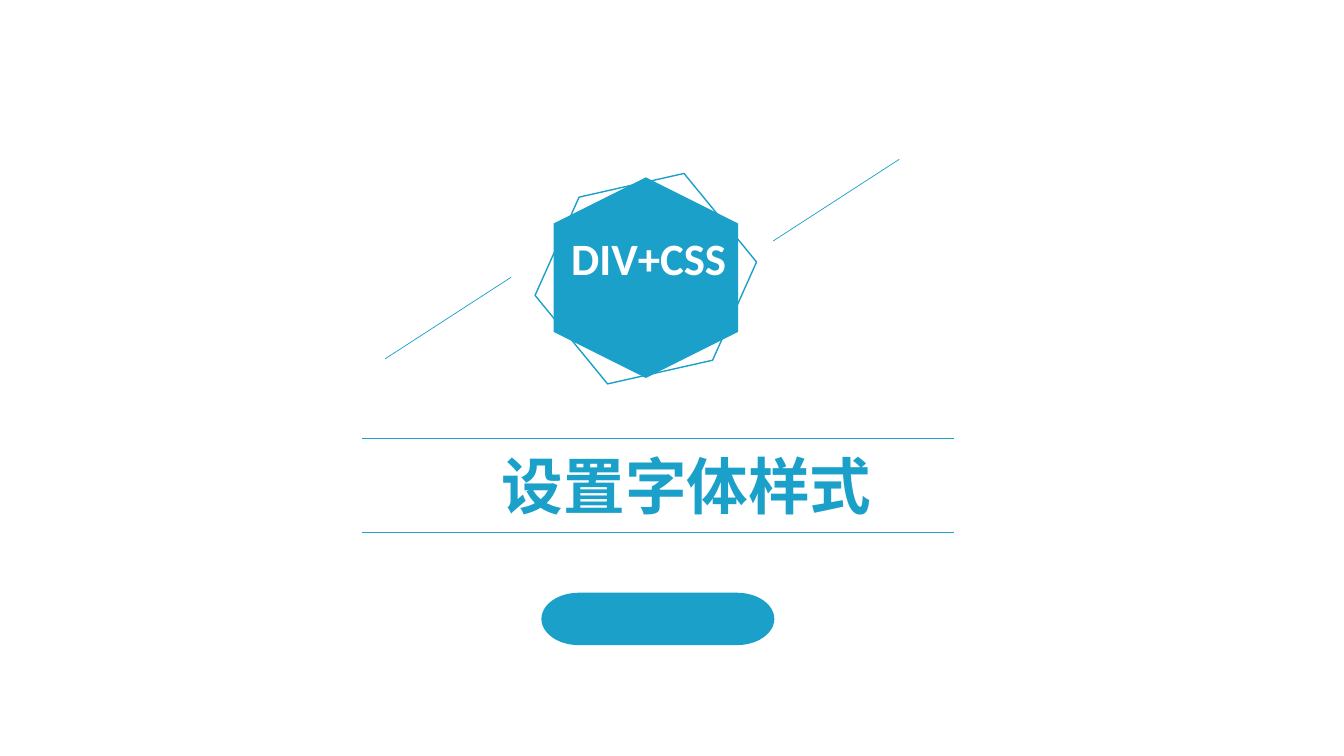
"""Build the section title slide on setting font styles."""
from pptx import Presentation
from pptx import util as u
from pptx.dml.color import RGBColor
from pptx.enum import shapes, text
from pptx.oxml.ns import qn
from lxml import etree

BLUE, WHITE = "1BA0C9", "FFFFFF"
FONT = "Calibri"
TITLE = ("设置字体样式", (4.88, 4.39, 3.87, 0.84))
BADGE = ("DIV+CSS", (5.55, 2.24, 1.77, 0.64))
RULE_LEFT, RULE_RIGHT, RULE_YS = 3.59, 9.46, (4.35, 5.28)
SLANT_STARTS, SLANT = ((8.92, 1.58), (5.07, 2.75)), (-1.25, 0.81)
BUTTON = (5.37, 5.88, 2.31, 0.52)
OUTER_HEXAGON = (5.36, 1.81, 2.09, 1.91)
INNER_HEXAGON = (5.41, 1.84, 1.99, 1.83)

prs = Presentation()
prs.slide_width, prs.slide_height = u.Inches(13.33), u.Inches(7.5)
s = prs.slides.add_slide(prs.slide_layouts[6])


def color(value):
    return RGBColor.from_string(value)


def add_line(x1, y1, x2, y2):
    line = s.shapes.add_connector(
        shapes.MSO_CONNECTOR.STRAIGHT, *map(u.Inches, (x1, y1, x2, y2)))
    line.line.color.rgb = color(BLUE)
    line.line.width = u.Pt(0.5)
    etree.SubElement(line._element.spPr, qn("a:effectLst"))


def add_shape(kind, box, rotation=0, filled=True):
    sp = s.shapes.add_shape(kind, *map(u.Inches, box))
    sp.shadow.inherit = False
    sp.rotation = rotation
    if filled:
        sp.fill.solid()
        sp.fill.fore_color.rgb = color(BLUE)
        sp.line.fill.background()
    else:
        sp.fill.background()
        sp.line.color.rgb = color(BLUE)
        sp.line.width = u.Pt(1)


def add_text(content, box, size, fill, align=text.PP_ALIGN.LEFT, wrap=True):
    tf = s.shapes.add_textbox(*map(u.Inches, box)).text_frame
    tf.word_wrap = wrap
    tf.auto_size = text.MSO_AUTO_SIZE.SHAPE_TO_FIT_TEXT
    p = tf.paragraphs[0]
    p.alignment = align
    r = p.add_run()
    r.text = content
    r.font.name, r.font.size, r.font.bold = FONT, u.Pt(size), True
    r.font.color.rgb = color(fill)


for y in RULE_YS:
    add_line(RULE_LEFT, y, RULE_RIGHT, y)
add_text(*TITLE, size=44, fill=BLUE, wrap=False)
add_shape(shapes.MSO_SHAPE.FLOWCHART_TERMINATOR, BUTTON)
add_shape(shapes.MSO_SHAPE.HEXAGON, OUTER_HEXAGON, rotation=50.7, filled=False)
add_shape(shapes.MSO_SHAPE.HEXAGON, INNER_HEXAGON, rotation=90)
add_text(*BADGE, size=32, fill=WHITE, align=text.PP_ALIGN.CENTER)
for x, y in SLANT_STARTS:
    add_line(x, y, x + SLANT[0], y + SLANT[1])

prs.save("out.pptx")
